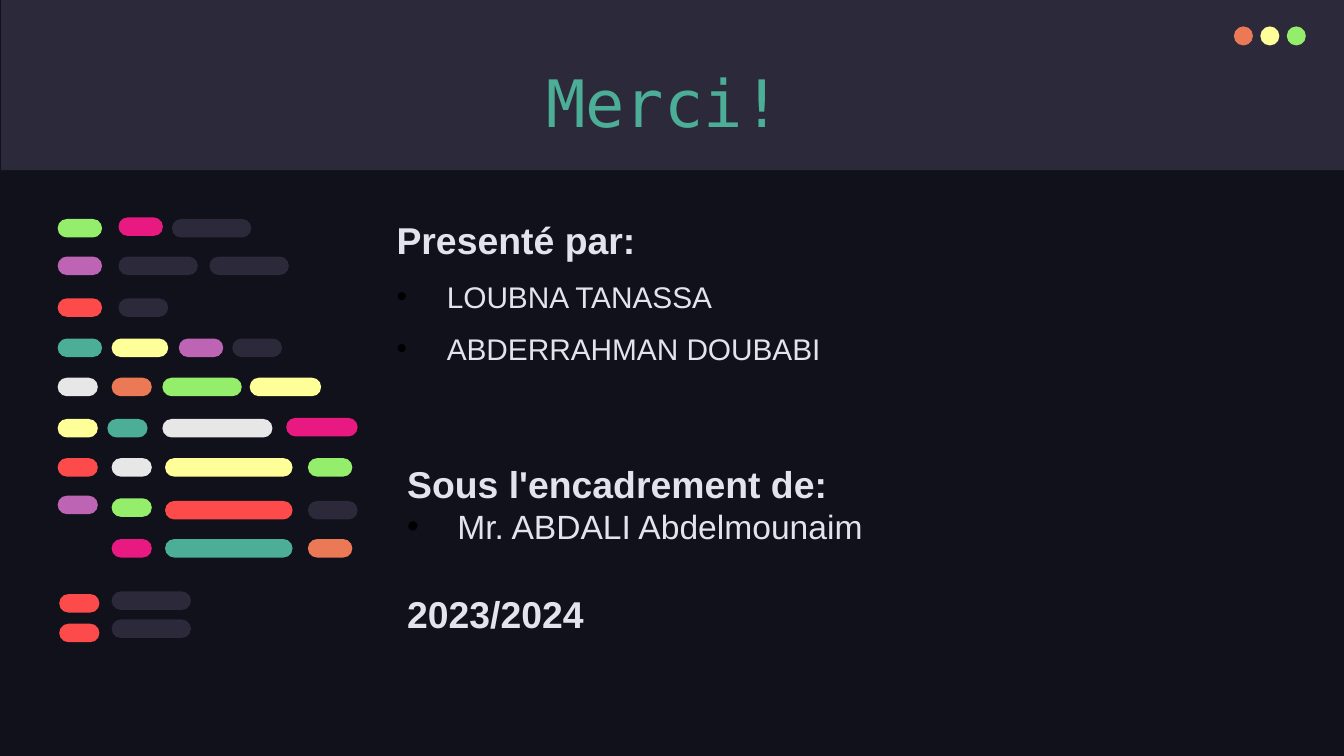
from dataclasses import dataclass
from typing import Optional

from lxml import etree
from pptx import Presentation
from pptx.dml.color import RGBColor
from pptx.enum import shapes, text
from pptx.oxml import ns
from pptx.util import Cm, Pt

NIGHT = RGBColor(0x10, 0x11, 0x1A)
SLATE = RGBColor(0x2C, 0x29, 0x3A)
ORANGE = RGBColor(0xEC, 0x79, 0x55)
YELLOW = RGBColor(0xFF, 0xFF, 0x99)
GREEN = RGBColor(0x94, 0xEE, 0x6B)
TEAL = RGBColor(0x4C, 0xAE, 0x97)
PINK = RGBColor(0xE8, 0x1A, 0x81)
PURPLE = RGBColor(0xBD, 0x64, 0xB5)
RED = RGBColor(0xFD, 0x4A, 0x4A)
WHITE = RGBColor(0xE7, 0xE7, 0xE7)
PALE = RGBColor(0xE2, 0xE3, 0xED)

PILL_HEIGHT = 0.35
DOT_SIZE = 0.36
BULLET_INDENT = Cm(0.95)


@dataclass
class Pill:
    left: float
    top: float
    width: float
    color: RGBColor


@dataclass
class Line:
    content: str
    size: float
    bullet: bool = False
    space_before: float = 0
    spacing: Optional[float] = None


# Lines of make-believe code, in centimetres
PILLS = [
    Pill(1.09, 4.14, 0.84, GREEN), Pill(2.24, 4.11, 0.84, PINK), Pill(3.25, 4.14, 1.5, SLATE),
    Pill(1.09, 4.85, 0.84, PURPLE), Pill(2.24, 4.85, 1.5, SLATE), Pill(3.96, 4.85, 1.5, SLATE),
    Pill(1.09, 5.64, 0.84, RED), Pill(2.24, 5.64, 0.94, SLATE),
    Pill(1.09, 6.4, 0.84, TEAL), Pill(2.11, 6.4, 1.07, YELLOW),
    Pill(3.38, 6.4, 0.84, PURPLE), Pill(4.39, 6.4, 0.94, SLATE),
    Pill(1.09, 7.14, 0.76, WHITE), Pill(2.11, 7.14, 0.76, ORANGE),
    Pill(3.07, 7.14, 1.5, GREEN), Pill(4.72, 7.14, 1.35, YELLOW),
    Pill(1.09, 7.92, 0.76, YELLOW), Pill(2.03, 7.92, 0.76, TEAL),
    Pill(3.07, 7.92, 2.08, WHITE), Pill(5.41, 7.9, 1.35, PINK),
    Pill(1.09, 8.66, 0.76, RED), Pill(2.11, 8.66, 0.76, WHITE),
    Pill(3.12, 8.66, 2.41, YELLOW), Pill(5.82, 8.66, 0.84, GREEN),
    Pill(1.09, 9.37, 0.76, PURPLE), Pill(2.11, 9.42, 0.76, GREEN),
    Pill(3.12, 9.47, 2.41, RED), Pill(5.82, 9.47, 0.94, SLATE),
    Pill(2.11, 10.19, 0.76, PINK), Pill(3.12, 10.19, 2.41, TEAL), Pill(5.82, 10.19, 0.84, ORANGE),
    Pill(1.12, 11.23, 0.76, RED), Pill(2.11, 11.18, 1.5, SLATE),
    Pill(1.12, 11.79, 0.76, RED), Pill(2.11, 11.71, 1.5, SLATE),
]

PRESENTERS = [
    Line("Presenté par:", 20, spacing=28),
    Line("LOUBNA TANASSA", 16, bullet=True, spacing=28),
    Line("ABDERRAHMAN DOUBABI", 16, bullet=True, spacing=28),
]
SUPERVISION = [
    Line("Sous l'encadrement de:", 20),
    Line("Mr. ABDALI Abdelmounaim", 18, bullet=True),
    Line("2023/2024", 20, space_before=24),
]


def apply_format(target, values: dict) -> None:
    for name, value in values.items():
        setattr(target, name, value)


def place(shape, left: float, top: float, width: float, height: float) -> None:
    apply_format(shape, {"left": Cm(left), "top": Cm(top), "width": Cm(width), "height": Cm(height)})


def draw_shape(parent, kind, left: float, top: float, width: float, height: float, color: RGBColor):
    shape = parent.add_shape(kind, Cm(left), Cm(top), Cm(width), Cm(height))
    shape.shadow.inherit = False
    shape.fill.solid()
    shape.fill.fore_color.rgb = color
    shape.line.fill.background()
    return shape


def set_bullet(paragraph, bullet: bool) -> None:
    properties = paragraph._p.get_or_add_pPr()
    properties.set("marL", str(BULLET_INDENT if bullet else 0))
    properties.set("indent", str(-BULLET_INDENT if bullet else 0))
    if not bullet:
        etree.SubElement(properties, ns.qn("a:buNone"))
        return
    color = etree.SubElement(properties, ns.qn("a:buClr"))
    etree.SubElement(color, ns.qn("a:srgbClr"), val="000000")
    etree.SubElement(properties, ns.qn("a:buFont"), typeface="Arial")
    etree.SubElement(properties, ns.qn("a:buChar"), char="•")


def write_lines(frame, lines: list[Line]) -> None:
    apply_format(frame, {"word_wrap": True, "auto_size": text.MSO_AUTO_SIZE.NONE,
                         "vertical_anchor": text.MSO_ANCHOR.TOP})
    for index, line in enumerate(lines):
        paragraph = frame.paragraphs[0] if index == 0 else frame.add_paragraph()
        set_bullet(paragraph, line.bullet)
        apply_format(paragraph, {"text": line.content, "space_before": Pt(line.space_before),
                                 "line_spacing": Pt(line.spacing) if line.spacing else 1.0})
        apply_format(paragraph.font, {"name": "Arial", "size": Pt(line.size), "bold": not line.bullet})
        paragraph.font.color.rgb = PALE


def main() -> None:
    presentation = Presentation()
    apply_format(presentation, {"slide_width": Cm(25.4), "slide_height": Cm(14.29)})
    slide = presentation.slides.add_slide(presentation.slide_layouts[3])
    slide.background.fill.solid()
    slide.background.fill.fore_color.rgb = NIGHT
    title, presenters, supervision = slide.placeholders

    # Header band behind the title, with window dots
    band = draw_shape(slide.shapes, shapes.MSO_SHAPE.RECTANGLE, 0.02, 0, 25.4, 3.22, SLATE)
    title.element.addprevious(band.element)
    dots = slide.shapes.add_group_shape().shapes
    for index, color in enumerate((ORANGE, YELLOW, GREEN)):
        draw_shape(dots, shapes.MSO_SHAPE.OVAL, 23.32 + 0.5 * index, 0.5, DOT_SIZE, DOT_SIZE, color)

    # Title
    place(title, 1.85, 0.81, 21.41, 1.6)
    frame = title.text_frame
    apply_format(frame, {"text": "Merci!", "word_wrap": True, "auto_size": text.MSO_AUTO_SIZE.NONE,
                         "vertical_anchor": text.MSO_ANCHOR.TOP, "margin_top": Cm(0.37),
                         "margin_bottom": Cm(0)})
    paragraph = frame.paragraphs[0]
    paragraph.alignment = text.PP_ALIGN.CENTER
    apply_format(paragraph.font, {"name": "DejaVu Sans Mono", "size": Pt(35)})
    paragraph.font.color.rgb = TEAL

    # Coloured code lines
    code = slide.shapes.add_group_shape().shapes
    for pill in PILLS:
        shape = draw_shape(code, shapes.MSO_SHAPE.ROUNDED_RECTANGLE,
                           pill.left, pill.top, pill.width, PILL_HEIGHT, pill.color)
        shape.adjustments[0] = 0.5

    # Presenters and supervision
    place(presenters, 7.24, 3.84, 20.78, 3.94)
    write_lines(presenters.text_frame, PRESENTERS)
    place(supervision, 7.44, 8.59, 13.23, 4.52)
    write_lines(supervision.text_frame, SUPERVISION)

    presentation.save("out.pptx")


if __name__ == "__main__":
    main()
